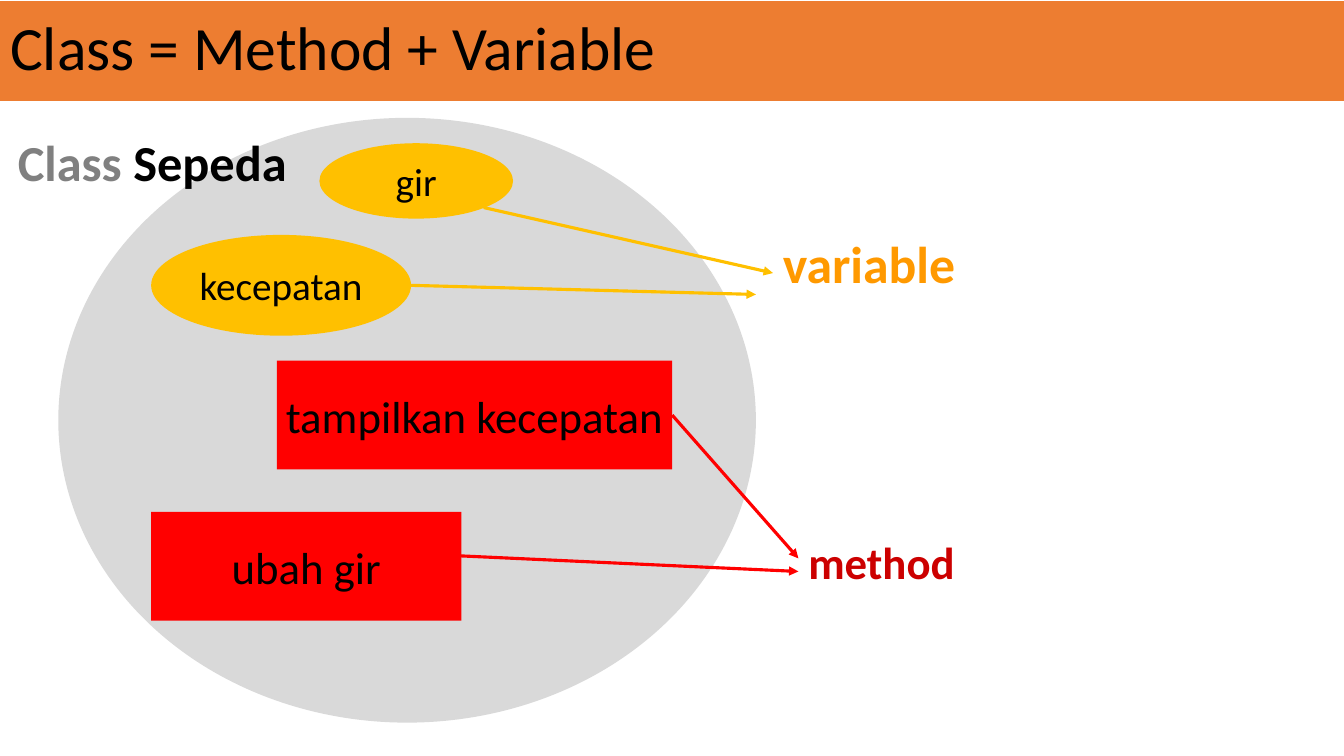
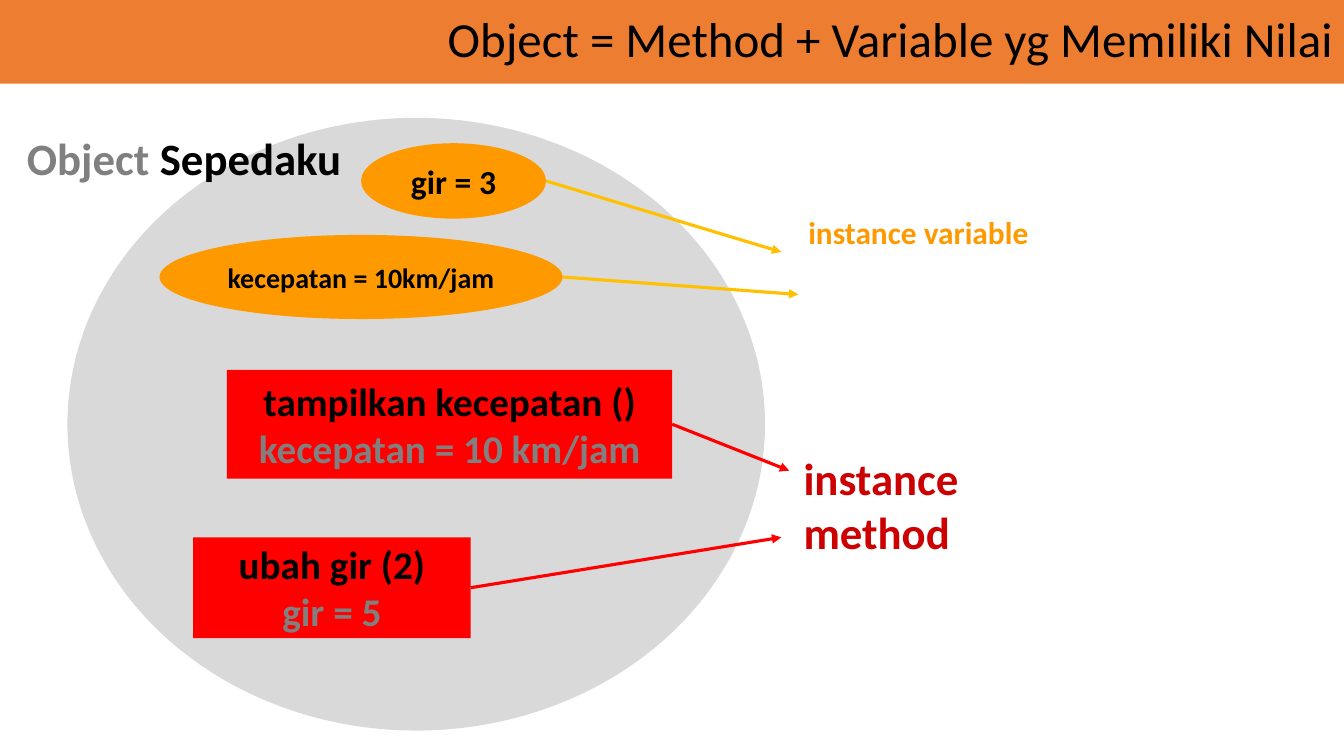
from dataclasses import dataclass

from lxml.etree import SubElement
from pptx import Presentation
from pptx.dml.color import RGBColor
from pptx.enum.shapes import MSO_CONNECTOR, MSO_SHAPE
from pptx.enum.text import MSO_ANCHOR, MSO_AUTO_SIZE, PP_ALIGN
from pptx.oxml.ns import qn
from pptx.util import Cm, Pt

SLIDE_WIDTH, SLIDE_HEIGHT = 33.87, 19.05
FONT = "Calibri"
BAND, BODY = "ED7D31", "D9D9D9"
BLACK, GREY = "000000", "808080"
AMBER, ORANGE = "FFC000", "FF9900"
RED, DARK_RED = "FF0000", "CC0000"

Box = tuple[float, float, float, float]
Point = tuple[float, float]
Run = tuple[str, str]


@dataclass(frozen=True)
class Member:
    lines: list[Run]
    box: Box
    size: float
    fill: str
    arrow_to: Point
    arrow_from: Point | None = None
    is_method: bool = False


@dataclass(frozen=True)
class Label:
    runs: list[Run]
    box: Box
    size: float
    left_indent: float = 0
    line_spacing: float = 1


@dataclass(frozen=True)
class Diagram:
    title: str
    title_box: Box
    title_size: float
    title_align: PP_ALIGN
    body_box: Box
    bold_members: bool
    members: list[Member]
    labels: list[Label]


DIAGRAMS = [
    Diagram(
        "Class = Method + Variable", (0, 0.03, SLIDE_WIDTH, 2.51), 44, PP_ALIGN.LEFT,
        (1.47, 2.97, 17.58, 15.24), False,
        [
            Member([("kecepatan", BLACK)], (3.81, 5.92, 6.55, 2.54), 28, AMBER,
                   (19.05, 7.42)),
            Member([("gir", BLACK)], (8.05, 3.61, 4.88, 1.9), 28, AMBER,
                   (19.48, 6.88), arrow_from=(12.19, 5.23)),
            Member([("tampilkan kecepatan", BLACK)], (6.98, 9.09, 9.96, 2.74), 32, RED,
                   (20.12, 14.07), is_method=True),
            Member([("ubah gir", BLACK)], (3.81, 12.9, 7.82, 2.74), 32, RED,
                   (20.12, 14.4), arrow_from=(10.8, 13.97), is_method=True),
        ],
        [
            Label([("variable", ORANGE)], (19.48, 6.15, 5.51, 1.47), 37, line_spacing=0.7),
            Label([("method", DARK_RED)], (20.12, 13.34, 4.88, 1.47), 32),
            Label([("Class ", GREY), ("Sepeda", BLACK)], (0.2, 3.18, 7.92, 1.8), 36),
        ],
    ),
    Diagram(
        "Object = Method + Variable yg Memiliki Nilai", (0, 0, SLIDE_WIDTH, 2.11), 35,
        PP_ALIGN.RIGHT, (1.7, 2.97, 17.58, 15.44), True,
        [
            Member([("kecepatan = 10km/jam", BLACK)], (4.02, 5.92, 10.16, 2.12), 20, ORANGE,
                   (20.12, 7.42)),
            Member([("gir = 3", BLACK)], (9.1, 3.61, 4.66, 1.9), 24, ORANGE, (19.69, 6.35)),
            Member([("tampilkan kecepatan ()", BLACK), ("kecepatan = 10 km/jam", GREY)],
                   (5.72, 9.32, 11.22, 2.74), 28, RED, (19.89, 11.86), is_method=True),
            Member([("ubah gir (2)", BLACK), ("gir = 5", GREY)],
                   (4.87, 13.54, 6.99, 2.54), 28, RED, (19.69, 13.54), is_method=True),
        ],
        [
            Label([("instance variable", ORANGE)], (19.48, 5.51, 6.78, 1.47), 22.4,
                  left_indent=0.64, line_spacing=0.7),
            Label([("instance method", DARK_RED)], (19.05, 11.23, 6.78, 1.47), 32,
                  left_indent=0.95),
            Label([("Object ", GREY), ("Sepedaku", BLACK)], (0.43, 3.18, 9.32, 1.63), 32),
        ],
    ),
]


def color(value: str) -> RGBColor:
    return RGBColor.from_string(value)


def lengths(box: Box) -> list[Cm]:
    return [Cm(value) for value in box]


def write_text(frame, paragraphs: list[list[Run]], *, size: float, bold: bool = False,
               align: PP_ALIGN = PP_ALIGN.LEFT, anchor: MSO_ANCHOR = MSO_ANCHOR.TOP,
               wrap: bool = True, line_spacing: float = 1, left_indent: float = 0) -> None:
    frame.auto_size = MSO_AUTO_SIZE.NONE
    frame.word_wrap = wrap
    frame.vertical_anchor = anchor
    for index, runs in enumerate(paragraphs):
        paragraph = frame.paragraphs[0] if index == 0 else frame.add_paragraph()
        paragraph.alignment = align
        paragraph.line_spacing = line_spacing
        if left_indent:
            paragraph._p.get_or_add_pPr().set("marL", str(Cm(left_indent)))
        for text, text_color in runs:
            run = paragraph.add_run()
            run.text = text
            run.font.name = FONT
            run.font.size = Pt(size)
            run.font.bold = bold
            run.font.color.rgb = color(text_color)


def add_filled(slide, kind: MSO_SHAPE, box: Box, fill: str):
    shape = slide.shapes.add_shape(kind, *lengths(box))
    shape.shadow.inherit = False
    shape.fill.solid()
    shape.fill.fore_color.rgb = color(fill)
    shape.line.fill.background()
    return shape


def add_title(slide, diagram: Diagram) -> None:
    title = slide.shapes.title
    title.left, title.top, title.width, title.height = lengths(diagram.title_box)
    title.fill.solid()
    title.fill.fore_color.rgb = color(BAND)
    write_text(title.text_frame, [[(diagram.title, BLACK)]], size=diagram.title_size,
               align=diagram.title_align, anchor=MSO_ANCHOR.MIDDLE, line_spacing=0.9)


def add_member(slide, member: Member, bold: bool):
    kind = MSO_SHAPE.RECTANGLE if member.is_method else MSO_SHAPE.OVAL
    shape = add_filled(slide, kind, member.box, member.fill)
    write_text(shape.text_frame, [[line] for line in member.lines], size=member.size,
               bold=bold, align=PP_ALIGN.CENTER, anchor=MSO_ANCHOR.MIDDLE, wrap=False)
    return shape


def add_arrow(slide, member: Member, shape) -> None:
    left, top, width, height = member.box
    start = member.arrow_from or (left + width, top + height / 2)
    arrow = slide.shapes.add_connector(
        MSO_CONNECTOR.STRAIGHT, *lengths((*start, *member.arrow_to)))
    if member.is_method and member.arrow_from is None:
        arrow.begin_connect(shape, 3)
    arrow.line.width = Pt(2.25)
    arrow.line.color.rgb = color(RED if member.is_method else AMBER)
    SubElement(arrow.line._get_or_add_ln(), qn("a:tailEnd"), type="triangle")
    SubElement(arrow._element.spPr, qn("a:effectLst"))


def add_label(slide, label: Label) -> None:
    textbox = slide.shapes.add_textbox(*lengths(label.box))
    write_text(textbox.text_frame, [label.runs], size=label.size, bold=True,
               line_spacing=label.line_spacing, left_indent=label.left_indent)


def draw_diagram(slide, diagram: Diagram) -> None:
    add_title(slide, diagram)
    add_filled(slide, MSO_SHAPE.OVAL, diagram.body_box, BODY)
    shapes = [add_member(slide, member, diagram.bold_members) for member in diagram.members]
    for member, shape in zip(diagram.members, shapes):
        add_arrow(slide, member, shape)
    for label in diagram.labels:
        add_label(slide, label)


def main() -> None:
    presentation = Presentation()
    presentation.slide_width = Cm(SLIDE_WIDTH)
    presentation.slide_height = Cm(SLIDE_HEIGHT)
    title_only = presentation.slide_layouts[5]
    for diagram in DIAGRAMS:
        draw_diagram(presentation.slides.add_slide(title_only), diagram)
    presentation.save("out.pptx")


if __name__ == "__main__":
    main()
